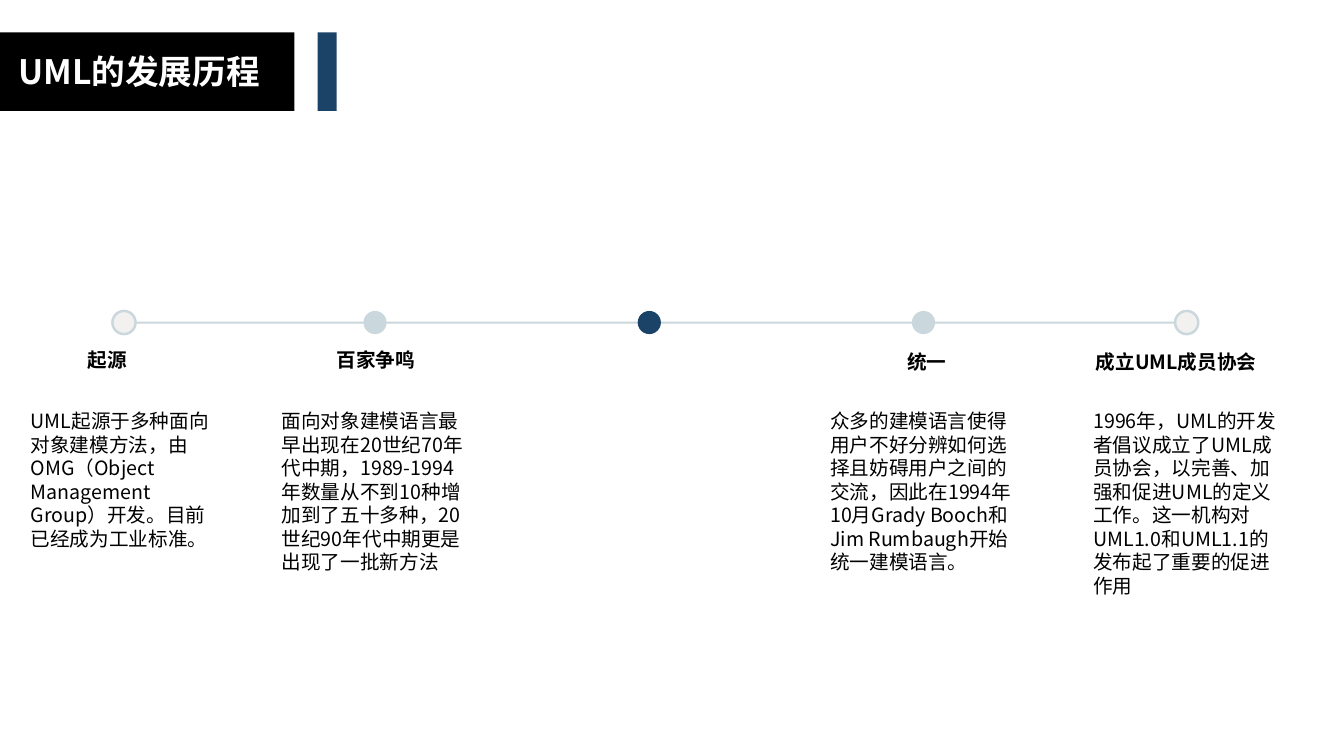
"""Build the UML history timeline slide."""
from lxml.etree import SubElement
from pptx import Presentation
from pptx.dml.color import RGBColor
from pptx.enum.shapes import MSO_SHAPE as Shape
from pptx.enum.text import MSO_ANCHOR as Anchor, PP_ALIGN as Align
from pptx.oxml.ns import qn
from pptx.util import Inches, Pt

BLACK = RGBColor(0x00, 0x00, 0x00)
WHITE = RGBColor(0xFF, 0xFF, 0xFF)
NAVY = RGBColor(0x1B, 0x43, 0x67)
MIST = RGBColor(0xCA, 0xD7, 0xDC)
PALE = RGBColor(0xF2, 0xF1, 0xF0)
FONT = "Noto Sans CJK SC"
AXIS_Y = 3.2
DOT = 0.23
BODY_WIDTH = 2.05

presentation = Presentation()
presentation.slide_width = Inches(13.33)
presentation.slide_height = Inches(7.5)
slide = presentation.slides.add_slide(presentation.slide_layouts[6])


def add_block(kind, left, top, width, height, fill):
    shape = slide.shapes.add_shape(
        kind, Inches(left), Inches(top), Inches(width), Inches(height))
    shape.shadow.inherit = False
    shape.fill.solid()
    shape.fill.fore_color.rgb = fill
    shape.line.fill.background()
    return shape


def add_text(text, left, top, width, height, size=14, color=BLACK, bold=False):
    box = slide.shapes.add_textbox(
        Inches(left), Inches(top), Inches(width), Inches(height))
    frame = box.text_frame
    frame.word_wrap = True
    frame.margin_top = frame.margin_bottom = 0
    frame.vertical_anchor = Anchor.MIDDLE if bold else Anchor.TOP
    paragraph = frame.paragraphs[0]
    run = paragraph.add_run()
    run.text = text
    run.font.name = FONT
    run.font.size = Pt(size)
    run.font.bold = bold
    run.font.color.rgb = color
    SubElement(run.font._element, qn("a:ea")).set("typeface", FONT)
    return paragraph


add_block(Shape.RECTANGLE, 0, 0.32, 2.92, 0.78, BLACK)
add_block(Shape.RECTANGLE, 3.15, 0.32, 0.19, 0.78, NAVY)
title = add_text("UML的发展历程", 0, 0.46, 2.76, 0.5, 24, WHITE, True)
title.alignment = Align.CENTER

add_block(Shape.RECTANGLE, 1.34, AXIS_Y - 0.01, 10.32, 0.02, MIST)
for center, fill in ((1.23, PALE), (3.72, MIST), (6.44, NAVY),
                     (9.16, MIST), (11.77, PALE)):
    dot = add_block(Shape.OVAL, center - DOT / 2, AXIS_Y - DOT / 2, DOT, DOT, fill)
    if fill == PALE:
        dot.line.color.rgb = MIST
        dot.line.width = Pt(1.75)

stages = (
    (1.23, "起源", 0.77, 3.4, 0.92,
     "UML起源于多种面向对象建模方法，由OMG（Object Management Group）开发。"
     "目前已经成为工业标准。"),
    (3.72, "百家争鸣", 3.24, 3.4, 1.07,
     "面向对象建模语言最早出现在20世纪70年代中期，1989-1994年数量从不到10种"
     "增加到了五十多种，20世纪90年代中期更是出现了一批新方法"),
    (9.16, "统一", 8.9, 3.42, 0.92,
     "众多的建模语言使得用户不好分辨如何选择且妨碍用户之间的交流，"
     "因此在1994年10月Grady Booch和Jim Rumbaugh开始统一建模语言。"),
    (11.77, "成立UML成员协会", 10.77, 3.42, 2.04,
     "1996年，UML的开发者倡议成立了UML成员协会，以完善、加强和促进UML的定义工作。"
     "这一机构对UML1.0和UML1.1的发布起了重要的促进作用"),
)
for center, heading, left, top, width, body in stages:
    add_text(heading, left, top, width, 0.34, bold=True)
    paragraph = add_text(body, center - BODY_WIDTH / 2, 4.06, BODY_WIDTH, 1.9)
    paragraph.line_spacing = Pt(16.8)

presentation.save("out.pptx")
